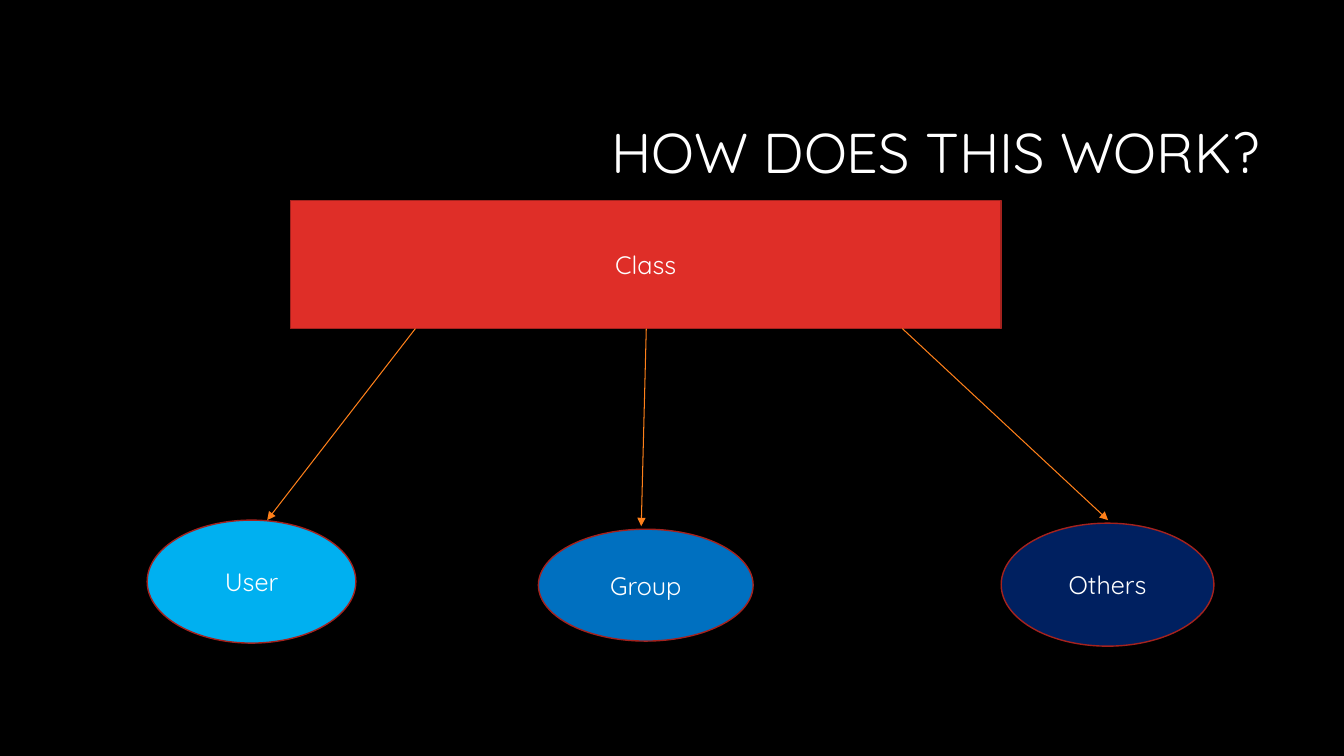
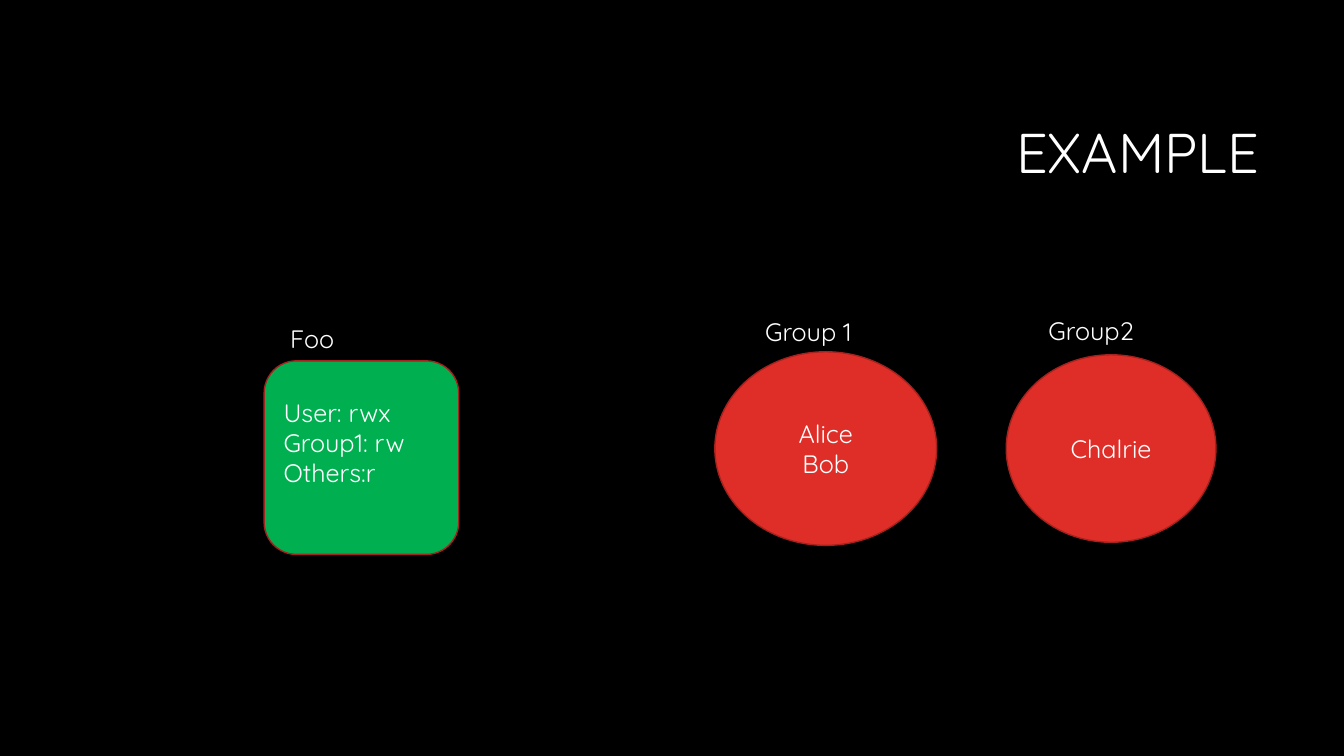
"""Build two slides that explain file permissions by class."""
from dataclasses import dataclass
from lxml import etree
from pptx import Presentation
from pptx.dml.color import RGBColor
from pptx.enum import shapes, text
from pptx.oxml import ns
from pptx.util import Inches, Pt


@dataclass(frozen=True)
class Theme:
    font: str = "Quicksand"
    head: int = 40
    body: int = 18
    back: str = "000000"
    ink: str = "FFFFFF"
    red: str = "DF2E28"
    edge: str = "A5221E"
    arrow: str = "FE801A"
    sky: str = "00B0F0"
    blue: str = "0070C0"
    navy: str = "002060"
    green: str = "00B050"


look = Theme()
kind = shapes.MSO_SHAPE
side = text.PP_ALIGN


def write(shape, words, size, align):
    frame = shape.text_frame
    frame.text = words
    frame.word_wrap = True
    for line in frame.paragraphs:
        line.alignment = align
        for run in line.runs:
            run.font.name = look.font
            run.font.size = Pt(size)
            run.font.color.rgb = RGBColor.from_string(look.ink)


def draw(slide, form, box, fill, words, align=side.CENTER):
    shape = slide.shapes.add_shape(form, *map(Inches, box))
    shape.shadow.inherit = False
    shape.fill.solid()
    shape.fill.fore_color.rgb = RGBColor.from_string(fill)
    shape.line.color.rgb = RGBColor.from_string(look.edge)
    shape.line.width = Pt(1)
    write(shape, words, look.body, align)
    shape.text_frame.vertical_anchor = text.MSO_ANCHOR.MIDDLE
    return shape


deck = Presentation()
deck.slide_width = Inches(13.33)
deck.slide_height = Inches(7.5)
fill = deck.slide_master.background.fill
fill.solid()
fill.fore_color.rgb = RGBColor.from_string(look.back)

layout = deck.slide_layouts.get_by_name("Title Only")
slides = []
for words in ("HOW DOES THIS WORK?", "EXAMPLE"):
    slide = deck.slides.add_slide(layout)
    title = slide.shapes.title
    title.left, title.top = Inches(3.17), Inches(0.84)
    title.width, title.height = Inches(9.42), Inches(1.41)
    write(title, words, look.head, side.RIGHT)
    title.text_frame.vertical_anchor = text.MSO_ANCHOR.MIDDLE
    title.text_frame.paragraphs[0].line_spacing = 0.9
    slides.append(slide)
work, sample = slides

draw(work, kind.RECTANGLE, (2.88, 1.99, 7.05, 1.27), look.red, "Class")
for words, box, fill in (
    ("User", (1.46, 5.16, 2.07, 1.22), look.sky),
    ("Group", (5.34, 5.25, 2.13, 1.11), look.blue),
    ("Others", (9.93, 5.19, 2.11, 1.22), look.navy),
):
    draw(work, kind.OVAL, box, fill, words)

base = 3.26
for start, end, foot in ((4.12, 2.65, 5.16), (6.41, 6.36, 5.22), (8.95, 10.99, 5.16)):
    ends = map(Inches, (start, base, end, foot))
    arrow = work.shapes.add_connector(shapes.MSO_CONNECTOR.STRAIGHT, *ends)
    arrow.line.color.rgb = RGBColor.from_string(look.arrow)
    arrow.line.width = Pt(0.75)
    props = arrow.line._get_or_add_ln()
    etree.SubElement(props, ns.qn("a:tailEnd"), type="triangle")
    etree.SubElement(arrow._element.spPr, ns.qn("a:effectLst"))

rules = "User: rwx\nGroup1: rw\nOthers:r"
file = draw(sample, kind.ROUNDED_RECTANGLE, (2.62, 3.58, 1.93, 1.92),
            look.green, rules, side.LEFT)
file.text_frame.margin_bottom = Inches(0.35)
for words, box in (
    ("Alice\nBob", (7.09, 3.49, 2.2, 1.92)),
    ("Chalrie", (9.98, 3.52, 2.08, 1.86)),
):
    draw(sample, kind.OVAL, box, look.red, words)

for words, left, top, width in (
    ("Foo", 2.78, 3.16, 1.65),
    ("Group 1", 7.49, 3.09, 1.64),
    ("Group2", 10.3, 3.08, 1.45),
):
    label = sample.shapes.add_textbox(*map(Inches, (left, top, width, 0.4)))
    write(label, words, look.body, side.LEFT)

deck.save("out.pptx")
